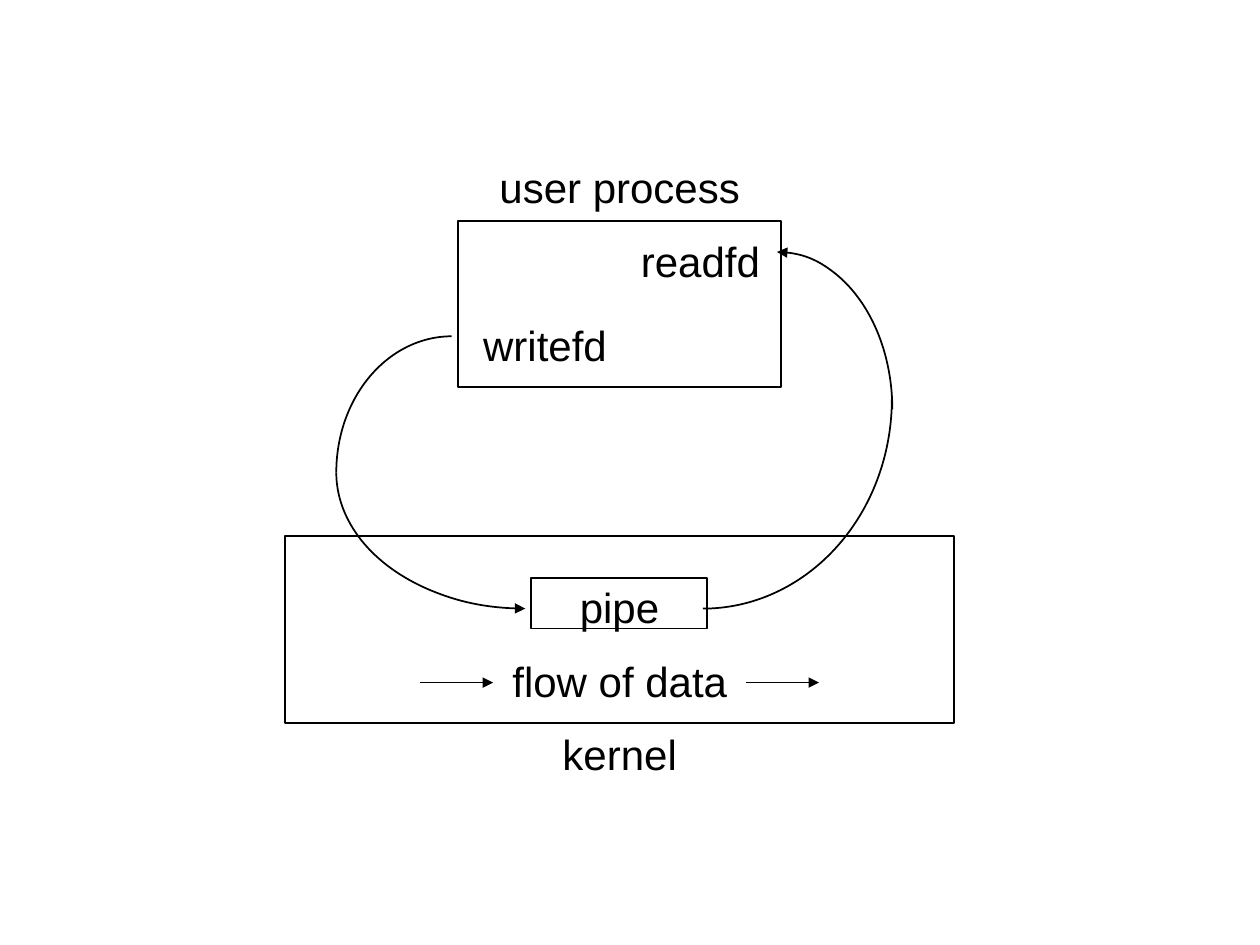
from pptx import Presentation
from pptx.dml.color import RGBColor
from pptx.enum.shapes import MSO_CONNECTOR as Connector, MSO_SHAPE as Shape
from pptx.enum.text import MSO_AUTO_SIZE as AutoSize
from pptx.oxml.ns import qn
from pptx.util import Cm, Pt
from lxml.etree import SubElement

BLACK = RGBColor(0, 0, 0)
LINE_WIDTH = Pt(0.99)
LABEL_HEIGHT = 1.27

PROCESS_FRAME = (9.23, 4.46, 6.52, 3.35)
KERNEL_FRAME = (5.74, 10.81, 13.5, 3.76)
PIPE_FRAME = (10.71, 11.65, 3.55, 1.02)
LABELS = [
    ("user process", 9.82, 3.14, 5.36),
    ("readfd", 12.67, 4.62, 2.92),
    ("writefd", 9.49, 6.32, 3.0),
    ("pipe", 11.44, 11.59, 2.11),
    ("flow of data", 10.08, 13.08, 4.85),
    ("kernel", 11.09, 14.57, 2.82),
]
WRITE_ARCS = [
    ((6.78, 6.78, 7.62, 5.49), 90, True),
    ((6.78, 6.78, 4.65, 5.49), 180, False),
]
READ_ARCS = [
    ((10.36, 3.81, 7.62, 8.46), 0, False),
    ((13.34, 5.08, 4.65, 6.35), 270, True),
]
FLOW_STARTS = (8.46, 15.03)
FLOW_LENGTH = 1.48
FLOW_Y = 13.76


def set_line(shape, arrow_end=None):
    shape.line.color.rgb = BLACK
    shape.line.width = LINE_WIDTH
    if arrow_end:
        line = shape.line._get_or_add_ln()
        SubElement(line, qn(f"a:{arrow_end}"), type="triangle")


def add_outline(page, kind, bounds, arrow_end=None):
    shape = page.shapes.add_shape(kind, *map(Cm, bounds))
    shape.shadow.inherit = False
    shape.fill.background()
    set_line(shape, arrow_end)
    return shape


def add_label(page, text, left, top, width):
    box = page.shapes.add_textbox(Cm(left), Cm(top), Cm(width), Cm(LABEL_HEIGHT))
    frame = box.text_frame
    frame.text = text
    frame.word_wrap = False
    frame.auto_size = AutoSize.SHAPE_TO_FIT_TEXT
    font = frame.paragraphs[0].runs[0].font
    font.name = "Arial"
    font.size = Pt(24)
    font.color.rgb = BLACK


def add_quarter_arc(page, bounds, start, has_arrow):
    arc = add_outline(page, Shape.ARC, bounds, "headEnd" if has_arrow else None)
    for index, angle in enumerate((start, (start + 90) % 360)):
        arc.adjustments[index] = angle * 0.6


def add_flow_arrow(page, left):
    arrow = page.shapes.add_connector(
        Connector.STRAIGHT, Cm(left), Cm(FLOW_Y), Cm(left + FLOW_LENGTH), Cm(FLOW_Y)
    )
    set_line(arrow, "tailEnd")
    SubElement(arrow._element.spPr, qn("a:effectLst"))


deck = Presentation()
deck.slide_width, deck.slide_height = Cm(25.4), Cm(19.05)
page = deck.slides.add_slide(deck.slide_layouts[6])

for bounds in (PROCESS_FRAME, KERNEL_FRAME, PIPE_FRAME):
    add_outline(page, Shape.RECTANGLE, bounds)
for label in LABELS:
    add_label(page, *label)
for arc in WRITE_ARCS + READ_ARCS:
    add_quarter_arc(page, *arc)
for left in FLOW_STARTS:
    add_flow_arrow(page, left)

deck.save("out.pptx")
